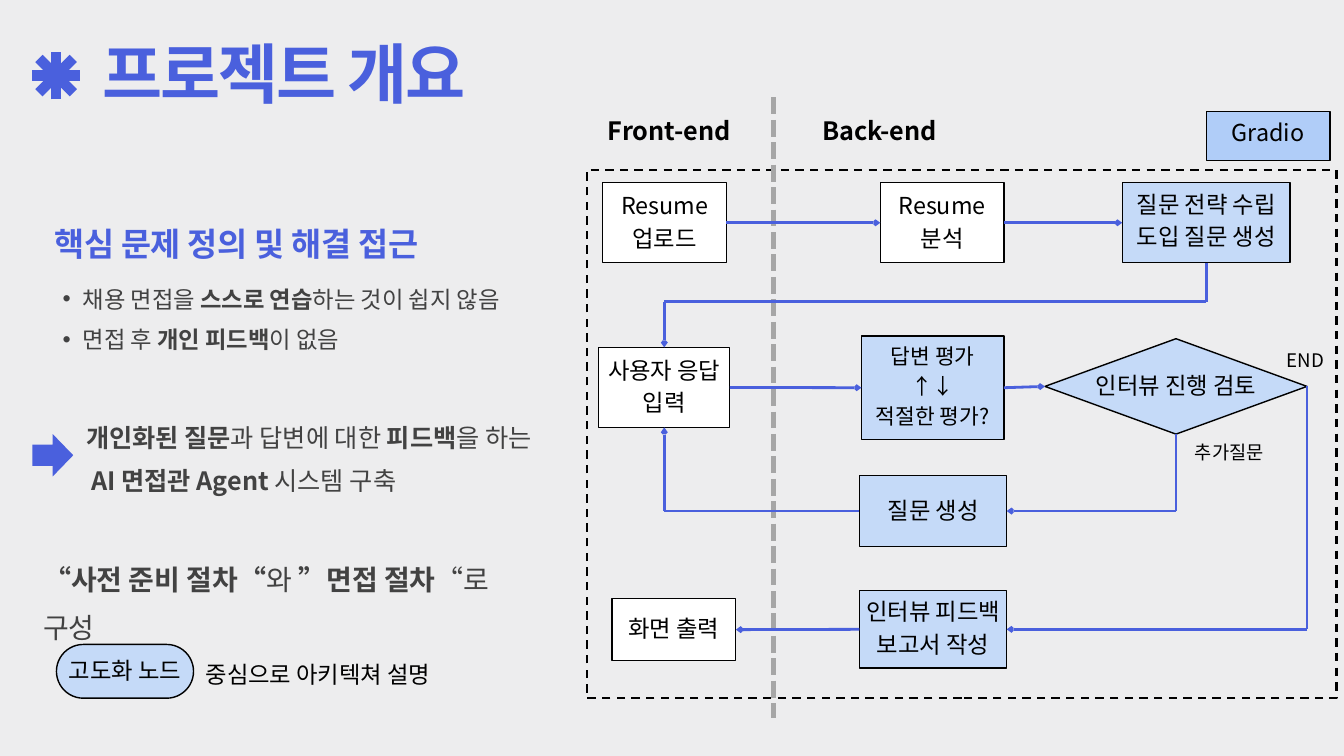
from dataclasses import dataclass
from itertools import pairwise

from lxml import etree
from pptx import Presentation
from pptx.dml.color import RGBColor
from pptx.enum.dml import MSO_LINE
from pptx.enum.shapes import MSO_CONNECTOR, MSO_SHAPE
from pptx.enum.text import MSO_ANCHOR, MSO_AUTO_SIZE, PP_ALIGN
from pptx.oxml.ns import qn
from pptx.util import Emu, Inches, Pt

STRAIGHT = MSO_CONNECTOR.STRAIGHT
DASH, SHORT_DASH = MSO_LINE.DASH, MSO_LINE.SQUARE_DOT
RECTANGLE, DIAMOND = MSO_SHAPE.RECTANGLE, MSO_SHAPE.DIAMOND
PILL, RIGHT_ARROW = MSO_SHAPE.ROUNDED_RECTANGLE, MSO_SHAPE.RIGHT_ARROW
LEFT, CENTER = PP_ALIGN.LEFT, PP_ALIGN.CENTER
TOP, MIDDLE = MSO_ANCHOR.TOP, MSO_ANCHOR.MIDDLE
NO_FIT = MSO_AUTO_SIZE.NONE
COLUMNS, ROWS = 20, 11.25
CELL = Inches(1)


@dataclass(frozen=True)
class Theme:
    """Colours, typeface and type styles as size, leading, colour, bold, tracking."""
    font = "Noto Sans CJK KR"
    paper, accent, white, black = "EDEDEE", "4A60DD", "FFFFFF", "000000"
    soft, strong, divider, grey = "C5DAF8", "B0CDF8", "A6A6A6", "424242"
    title = (70, 70, accent, True, -210)
    heading = (35, 45.5, accent, True, -30)
    bullet = (25, 43, grey, False, 0)
    solution = (27, 46.4, grey, False, 0)
    process = (30, 51.6, grey, False, 0)
    caption = (25, 43, black, False, 0)
    lane = (27, 37.8, black, True, 0)
    node = (25, 35, black, False, 0)
    check = (23, 32.2, black, False, 0)
    label = (20, 28, black, False, 0)


@dataclass(frozen=True)
class Box:
    """A rectangle in grid columns and rows."""
    x: float
    y: float
    w: float
    h: float

    def area(self, x, y, w, h):
        """Return a box offset from this box's corner."""
        return Box(self.x + x, self.y + y, w, h)

    def at(self, across, down):
        """Return the point at the given shares of width and height."""
        return self.x + across * self.w, self.y + down * self.h

    def emu(self):
        """Return the box as slide lengths."""
        return [grid(v) for v in (self.x, self.y, self.w, self.h)]


def grid(cells):
    """Convert grid cells to a slide length."""
    return Emu(round(cells * CELL))


def apply(target, values):
    """Set each named format value on the target."""
    for name, value in values.items():
        setattr(target, name, value)


def write(frame, lines, style, align=LEFT, anchor=TOP, wrap=True,
          insets=(0, 0, 0, 0), bullet="", indents=(0,)):
    """Fill a text frame; asterisks switch to bold and back."""
    size, leading, colour, bold, tracking = style
    sides = ("margin_left", "margin_top", "margin_right", "margin_bottom")
    apply(frame, {"word_wrap": wrap, "auto_size": NO_FIT, "vertical_anchor": anchor,
                  **dict(zip(sides, map(grid, insets)))})
    for index, line in enumerate(lines):
        paragraph = frame.add_paragraph() if index else frame.paragraphs[0]
        props = paragraph._p.get_or_add_pPr()
        props.set("marL", str(grid(indents[index % len(indents)])))
        props.set("indent", str(grid(-0.3 if bullet else 0)))
        if bullet:
            etree.SubElement(props, qn("a:buChar")).set("char", bullet)
        apply(paragraph, {"alignment": align, "line_spacing": Pt(leading),
                          "space_before": Pt(0), "space_after": Pt(0)})
        for order, words in enumerate(line.split("*")):
            if not words:
                continue
            run = paragraph.add_run()
            run.text = words
            apply(run.font, {"size": Pt(size), "bold": bold or order % 2 == 1,
                             "name": Theme.font})
            run.font.color.rgb = RGBColor.from_string(colour)
            run_props = run._r.get_or_add_rPr()
            run_props.set("spc", str(tracking))
            east_asian = etree.Element(qn("a:ea"), typeface=Theme.font)
            run_props.find(qn("a:latin")).addnext(east_asian)


def add_text(slide, box, lines, style, **layout):
    """Add a text box."""
    write(slide.shapes.add_textbox(*box.emu()).text_frame, lines, style, **layout)


def fill_placeholder(holder, box, lines, style, **layout):
    """Move a template placeholder and fill it."""
    apply(holder, dict(zip(("left", "top", "width", "height"), box.emu())))
    write(holder.text_frame, lines, style, **layout)


def add_shape(slide, box, preset=RECTANGLE, fill=None, outline=None, width=1.5):
    """Add a flat preset shape."""
    shape = slide.shapes.add_shape(preset, *box.emu())
    shape.shadow.inherit = False
    for paint, colour in ((shape.fill, fill), (shape.line.fill, outline)):
        if colour:
            paint.solid()
            paint.fore_color.rgb = RGBColor.from_string(colour)
        else:
            paint.background()
    if outline:
        shape.line.width = Pt(width)
    return shape


def add_node(slide, box, lines, fill, preset=RECTANGLE, style=Theme.node, lift=0.11):
    """Add an outlined flow node whose label sits slightly above centre."""
    node = add_shape(slide, box, preset, fill, Theme.black)
    if preset == PILL:
        node.adjustments[0] = 0.5
    write(node.text_frame, lines, style, align=CENTER, anchor=MIDDLE,
          wrap=preset == RECTANGLE, insets=(0.06, 0, 0.06, lift))


def add_line(slide, start, end, colour, width, dash=None, arrow=False):
    """Add a straight line, with an arrowhead at its end on request."""
    ends = [grid(v) for v in (*start, *end)]
    connector = slide.shapes.add_connector(STRAIGHT, *ends)
    connector.line.color.rgb = RGBColor.from_string(colour)
    apply(connector.line, {"width": Pt(width), "dash_style": dash})
    props = connector._element.spPr
    if arrow:
        etree.SubElement(props.find(qn("a:ln")), qn("a:tailEnd"),
                         type="arrow", w="sm", len="sm")
    etree.SubElement(props, qn("a:effectLst"))


def build_heading(slide, box):
    """Place the star and the slide title."""
    star = box.area(0, 0.08, 0.71, 0.71)
    near, far = 0.14, 0.86
    for start, end in (((0, 0.5), (1, 0.5)), ((0.5, 1), (0.5, 0)),
                       ((near, far), (far, near)), ((far, far), (near, near))):
        add_line(slide, star.at(*start), star.at(*end), Theme.accent, 11)
    fill_placeholder(slide.shapes.title, box.area(1.04, 0, 6.56, 1.02),
                     ["프로젝트 개요"], Theme.title)


def build_approach(slide, box):
    """Place the problem, the solution and the legend."""
    add_text(slide, box.area(0.33, 0, 5.68, 0.61),
             ["핵심 문제 정의 및 해결 접근"], Theme.heading)
    fill_placeholder(slide.placeholders[1], box.area(0.16, 0.78, 7.51, 1.14),
                     ["채용 면접을 *스스로 연습*하는 것이 쉽지 않음",
                      "면접 후 *개인 피드백*이 없음"],
                     Theme.bullet, bullet="•", indents=(0.59,))
    add_shape(slide, box.area(0, 3.18, 0.61, 0.63), RIGHT_ARROW, Theme.accent)
    add_text(slide, box.area(0.8, 2.81, 7.05, 1.23),
             ["*개인화된 질문*과 답변에 대한 *피드백*을 하는",
              "*AI 면접관 Agent* 시스템 구축"], Theme.solution, indents=(0, 0.08))
    add_text(slide, box.area(0.16, 4.87, 7.05, 0.65),
             ["*“사전 준비 절차“*와 *”면접 절차*“로 구성"], Theme.process)
    add_node(slide, box.area(0.36, 6.31, 2.04, 0.8), ["고도화 노드"], Theme.soft, PILL)
    add_text(slide, box.area(2.58, 6.37, 4.08, 0.55),
             ["중심으로 아키텍쳐 설명"], Theme.caption)


def build_flow(slide, box):
    """Place the lanes, nodes and routes of the interview flow."""
    frame = add_shape(slide, box.area(0, 1.08, 11.16, 7.86),
                      outline=Theme.black, width=2.25)
    frame.line.dash_style = DASH
    divider = box.area(2.78, 0, 0, 9.23)
    add_line(slide, divider.at(0, 0), divider.at(0, 1), Theme.divider, 6, SHORT_DASH)

    upload = box.area(0.24, 1.27, 1.84, 1.19)
    analysis = box.area(4.37, 1.27, 1.84, 1.19)
    strategy = box.area(7.97, 1.27, 2.5, 1.19)
    answer = box.area(0.18, 3.72, 1.95, 1.19)
    evaluation = box.area(4.09, 3.55, 2.12, 1.54)
    review = box.area(6.82, 3.59, 3.9, 1.42)
    question = box.area(4.06, 5.63, 2.19, 1.05)
    report = box.area(4.06, 7.34, 2.19, 1.15)
    output = box.area(0.38, 7.46, 1.84, 0.92)
    for node, lines, fill in ((upload, ["Resume 업로드"], Theme.white),
                              (analysis, ["Resume 분석"], Theme.white),
                              (answer, ["사용자 응답 입력"], Theme.white),
                              (question, ["질문 생성"], Theme.soft),
                              (report, ["인터뷰 피드백 보고서 작성"], Theme.soft),
                              (output, ["화면 출력"], Theme.white)):
        add_node(slide, node, lines, fill)
    add_node(slide, strategy, ["질문 전략 수립", "도입 질문 생성"], Theme.soft, lift=0.15)
    add_node(slide, evaluation, ["답변 평가", "↑↓", "적절한 평가?"],
             Theme.soft, style=Theme.check)
    add_node(slide, review, ["인터뷰 진행 검토"], Theme.soft, DIAMOND)
    add_node(slide, box.area(9.22, 0.21, 1.84, 0.73), ["Gradio"], Theme.strong, lift=0.2)

    left, right, top, bottom = (0, 0.5), (1, 0.5), (0.5, 0), (0.5, 1)
    turn = box.y + 3.04
    for start, end in ((upload.at(*right), analysis.at(*left)),
                       (analysis.at(*right), strategy.at(*left)),
                       (answer.at(*right), evaluation.at(*left)),
                       (evaluation.at(*right), review.at(*left)),
                       (report.at(*left), output.at(*right))):
        add_line(slide, start, end, Theme.accent, 3, arrow=True)
    for source, corners, target in (
            (strategy.at(*bottom),
             [(strategy.at(*bottom)[0], turn), (answer.at(*top)[0], turn)],
             answer.at(*top)),
            (review.at(*bottom),
             [(review.at(*bottom)[0], question.at(*right)[1])], question.at(*right)),
            (question.at(*left),
             [(answer.at(*bottom)[0], question.at(*left)[1])], answer.at(*bottom)),
            (review.at(*right),
             [(review.at(*right)[0], report.at(*right)[1])], report.at(*right))):
        for start, end in pairwise([source, *corners, target]):
            add_line(slide, start, end, Theme.accent, 3, arrow=end == target)

    for place, words, style in ((box.area(0.18, 0.19, 2.1, 0.51), "Front-end", Theme.lane),
                                (box.area(3.28, 0.19, 2.16, 0.51), "Back-end", Theme.lane),
                                (box.area(8.98, 5.05, 1.17, 0.37), "추가질문", Theme.label),
                                (box.area(10.32, 3.68, 0.75, 0.37), "END", Theme.label)):
        add_text(slide, place, [words], style, align=CENTER)


def main():
    """Build and save the slide."""
    deck = Presentation()
    apply(deck, {"slide_width": grid(COLUMNS), "slide_height": grid(ROWS)})
    slide = deck.slides.add_slide(deck.slide_layouts[1])
    slide.background.fill.solid()
    slide.background.fill.fore_color.rgb = RGBColor.from_string(Theme.paper)
    build_heading(slide, Box(0.48, 0.69, 7.6, 1.02))
    build_approach(slide, Box(0.48, 3.28, 7.85, 7.11))
    build_flow(slide, Box(8.73, 1.45, 11.16, 9.23))
    deck.save("out.pptx")


if __name__ == "__main__":
    main()
